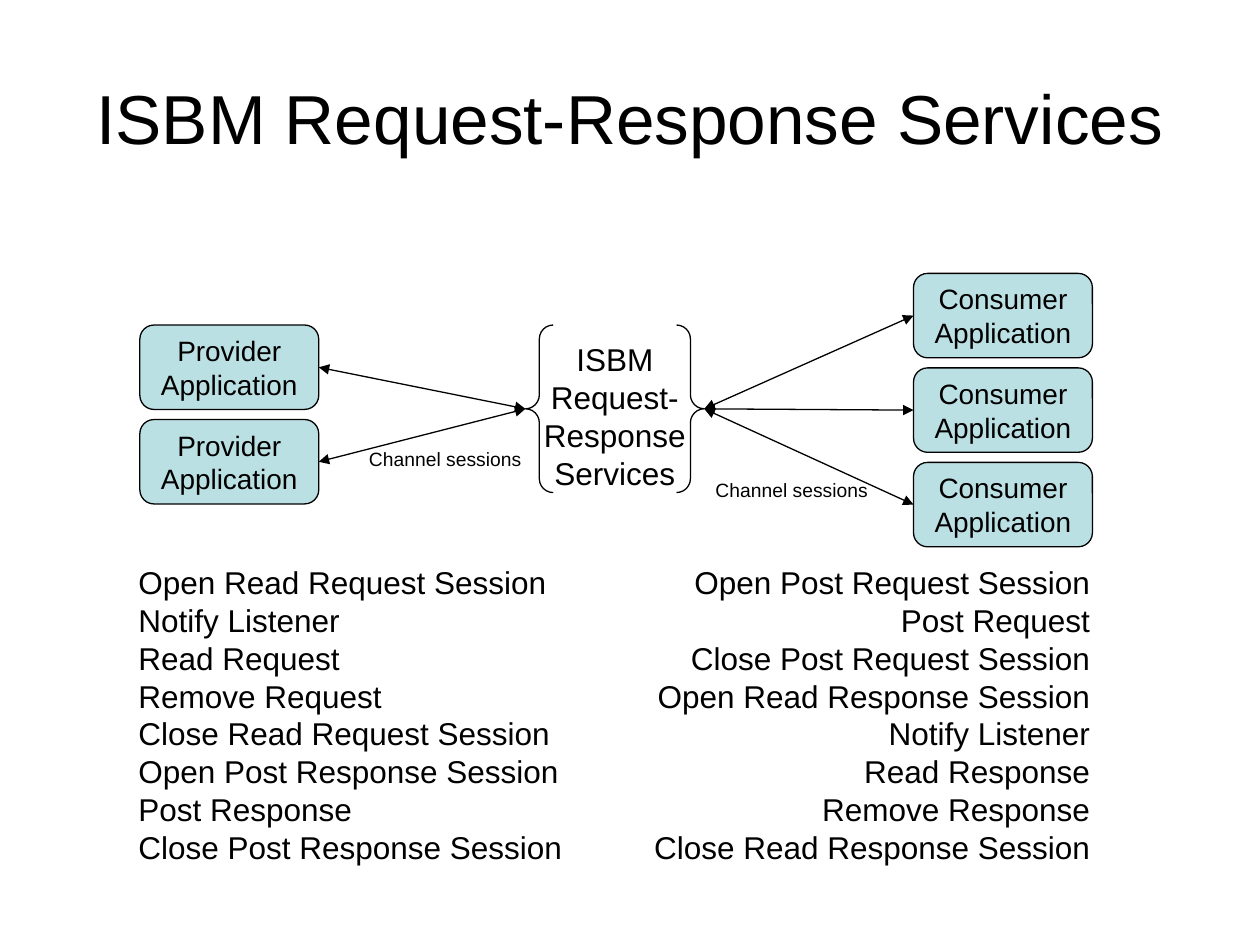
import lxml.etree
import pptx
import pptx.dml.color
import pptx.enum.shapes
import pptx.enum.text
import pptx.oxml.ns
import pptx.util
from pptx.util import Inches

SHAPE = pptx.enum.shapes.MSO_SHAPE
ALIGN = pptx.enum.text.PP_ALIGN
ANCHOR = pptx.enum.text.MSO_ANCHOR
COLORS = {"ink": "000000", "box": "BBE0E3"}

TITLE = "ISBM Request-Response Services"
HUB = "ISBM\nRequest-\nResponse\nServices"
# label, left edge, top of first box, count, site on box, site on hub
GROUPS = [
    ("Provider\nApplication", 1.11, 2.58, 2, 3, 1),
    ("Consumer\nApplication", 7.25, 2.17, 3, 1, 3),
]
BOX_W, BOX_H, STEP = 1.42, 0.67, 0.75
NOTE = "Channel sessions"
NOTE_SPOTS = [(2.83, 3.5), (5.58, 3.75)]
LISTS = [
    (1, 3.6, ALIGN.LEFT, [
        "Open Read Request Session",
        "Notify Listener",
        "Read Request",
        "Remove Request",
        "Close Read Request Session",
        "Open Post Response Session",
        "Post Response",
        "Close Post Response Session",
    ]),
    (5.06, 3.69, ALIGN.RIGHT, [
        "Open Post Request Session",
        "Post Request",
        "Close Post Request Session",
        "Open Read Response Session",
        "Notify Listener",
        "Read Response",
        "Remove Response",
        "Close Read Response Session",
    ]),
]


def color(name):
    return pptx.dml.color.RGBColor.from_string(COLORS[name])


def write(shape, text, size, align, anchor=ANCHOR.MIDDLE, wrap=False):
    frame = shape.text_frame
    frame.text = text
    frame.word_wrap = wrap
    frame.vertical_anchor = anchor
    for para in frame.paragraphs:
        para.alignment = align
        for run in para.runs:
            run.font.name = "Arial"
            run.font.size = pptx.util.Pt(size)
            run.font.color.rgb = color("ink")


def outline(shape):
    shape.line.color.rgb = color("ink")
    shape.line.width = pptx.util.Pt(0.75)


def add_node(slide, kind, rect, text, size, adjust, fill=None):
    node = slide.shapes.add_shape(kind, *map(Inches, rect))
    node.shadow.inherit = False
    node.adjustments[0] = adjust
    if fill:
        node.fill.solid()
        node.fill.fore_color.rgb = color(fill)
    else:
        node.fill.background()
    outline(node)
    write(node, text, size, ALIGN.CENTER)
    return node


def add_text(slide, rect, text, size, align, wrap):
    box = slide.shapes.add_textbox(*map(Inches, rect))
    write(box, text, size, align, ANCHOR.TOP, wrap)


def link(slide, start, start_site, end, end_site):
    """Join two nodes with a line that has an arrowhead at both ends."""
    line = slide.shapes.add_connector(
        pptx.enum.shapes.MSO_CONNECTOR.STRAIGHT, 0, 0, 0, 0)
    line.begin_connect(start, start_site)
    line.end_connect(end, end_site)
    outline(line)
    qn = pptx.oxml.ns.qn
    for tag in ("a:headEnd", "a:tailEnd"):
        lxml.etree.SubElement(line.line._get_or_add_ln(), qn(tag), type="triangle")
    lxml.etree.SubElement(line._element.spPr, qn("a:effectLst"))


def main():
    deck = pptx.Presentation()
    deck.slide_width, deck.slide_height = Inches(10), Inches(7.5)
    slide = deck.slides.add_slide(deck.slide_layouts[5])

    title = slide.shapes.title
    title.left, title.top = Inches(0.5), Inches(0.3)
    title.width, title.height = Inches(9), Inches(1.25)
    write(title, TITLE, 39.6, ALIGN.CENTER, wrap=True)

    hub = add_node(slide, SHAPE.DOUBLE_BRACE, (4.17, 2.58, BOX_W, 1.33),
                   HUB, 18, 0.083)
    for label, left, top, count, site, hub_site in GROUPS:
        for row in range(count):
            rect = (left, top + row * STEP, BOX_W, BOX_H)
            app = add_node(slide, SHAPE.ROUNDED_RECTANGLE, rect,
                           label, 16, 0.167, "box")
            link(slide, app, site, hub, hub_site)

    for left, top in NOTE_SPOTS:
        add_text(slide, (left, top, 1.42, 0.29), NOTE, 11, ALIGN.LEFT, True)
    for left, width, align, items in LISTS:
        add_text(slide, (left, 4.42, width, 2.52), "\n".join(items),
                 18, align, False)

    deck.save("out.pptx")


if __name__ == "__main__":
    main()
